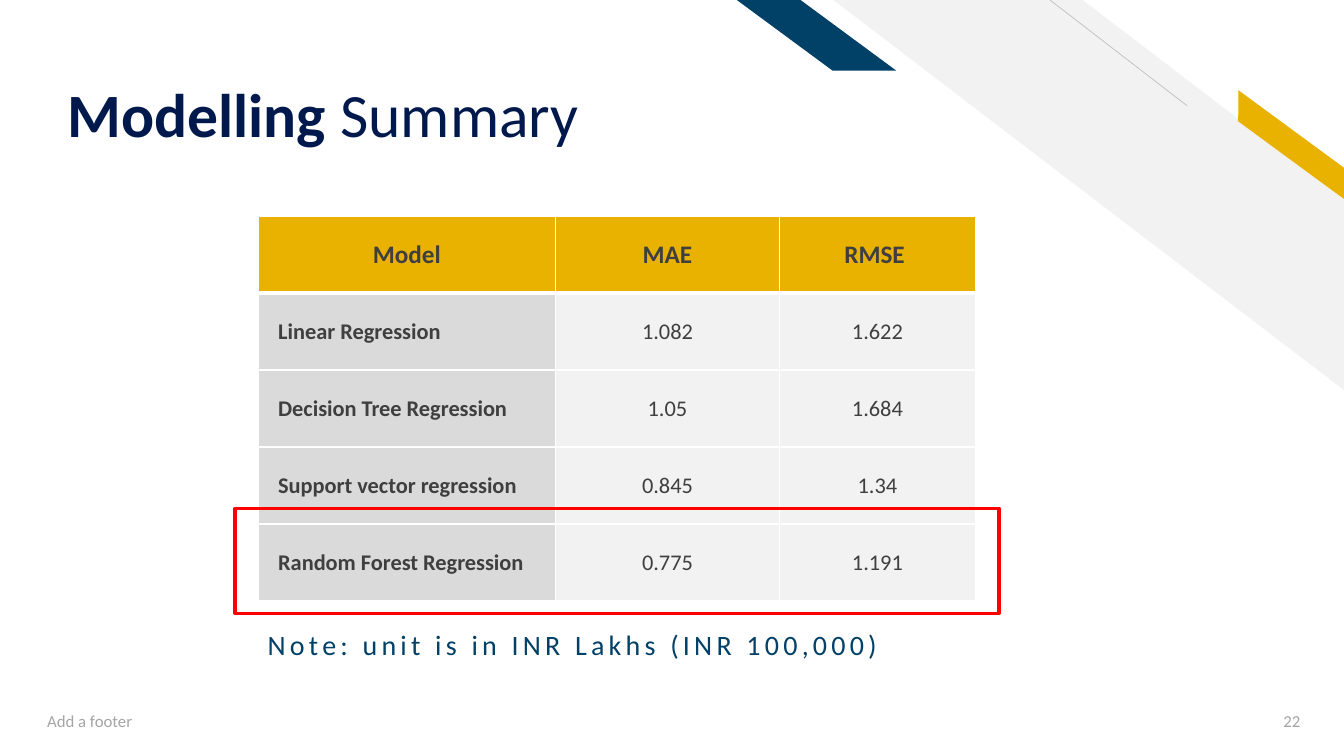
from lxml.etree import SubElement
from pptx import Presentation
from pptx.dml.color import RGBColor
from pptx.enum.shapes import MSO_CONNECTOR, MSO_SHAPE
from pptx.enum.text import MSO_ANCHOR as Anchor, MSO_AUTO_SIZE, PP_ALIGN as Align
from pptx.oxml.ns import qn
from pptx.util import Pt

COLORS = {
    "navy": "00194C", "blue": "014067", "gold": "EAB200", "text": "3F3F3F",
    "label": "DADADA", "pale": "F2F2F2", "line": "BFBFBF", "footer": "A5A5A5",
    "white": "FFFFFF", "red": "FF0000",
}
HEADER = ("Model", "MAE", "RMSE ")
RESULTS = (
    ("Linear Regression", "1.082", "1.622"),
    ("Decision Tree Regression", "1.05", "1.684"),
    ("Support vector regression", "0.845", "1.34"),
    ("Random Forest Regression", "0.775", "1.191"),
)
COLUMN_WIDTHS = (212.5, 160, 140)
ROW_HEIGHT = 55


def color(name):
    return RGBColor.from_string(COLORS[name])


def set_attributes(target, values):
    for name, value in values.items():
        setattr(target, name, value)


def place(shape, left, top, width, height):
    set_attributes(shape, {"left": Pt(left), "top": Pt(top),
                           "width": Pt(width), "height": Pt(height)})


def add_run(paragraph, text, size, color_name, bold=False):
    run = paragraph.add_run()
    run.text = text
    set_attributes(run.font, {"name": "Calibri", "size": Pt(size), "bold": bold})
    run.font.color.rgb = color(color_name)
    return run


def add_title(slide):
    title = slide.shapes.title
    place(title, 41, 16.5, 656, 91)
    set_attributes(title.text_frame, {
        "auto_size": MSO_AUTO_SIZE.NONE, "vertical_anchor": Anchor.BOTTOM,
        "margin_bottom": 0})
    paragraph = title.text_frame.paragraphs[0]
    set_attributes(paragraph, {"alignment": Align.LEFT, "line_spacing": 0.9})
    add_run(paragraph, "Modelling ", 44, "navy", bold=True)
    add_run(paragraph, "Summary", 44, "navy")


def add_note(slide):
    note = slide.placeholders[1]
    place(note, 184, 447, 668, 48)
    note.text_frame.auto_size = MSO_AUTO_SIZE.NONE
    paragraph = note.text_frame.paragraphs[0]
    set_attributes(paragraph, {"line_spacing": 0.9, "space_before": Pt(10)})
    run = add_run(paragraph, "Note: unit is in INR Lakhs (INR 100,000)", 20, "blue")
    run.font._element.set("spc", "300")
    properties = paragraph._p.get_or_add_pPr()
    properties.set("marL", "0")
    properties.set("indent", "0")
    SubElement(properties, qn("a:buNone"))


def add_band(slide, kind, box, adjustment, fill, rotation=0):
    """Add a borderless diagonal band, mirrored left to right."""
    band = slide.shapes.add_shape(kind, *map(Pt, box))
    band.adjustments[0] = adjustment
    band.rotation = rotation
    band.shadow.inherit = False
    band.fill.solid()
    band.fill.fore_color.rgb = color(fill)
    band.line.fill.background()
    band._element.spPr.get_or_add_xfrm().set("flipH", "1")


def add_thin_line(slide, start, end):
    line = slide.shapes.add_connector(MSO_CONNECTOR.STRAIGHT, *map(Pt, start + end))
    line.line.color.rgb = color("line")
    line.line.width = Pt(0.5)
    SubElement(line._element.spPr, qn("a:effectLst"))


def add_borders(cell, top, bottom):
    """Draw white cell borders, one point wide at the sides."""
    properties = cell._tc.get_or_add_tcPr()
    for tag, width in (("lnL", 1), ("lnR", 1), ("lnT", top), ("lnB", bottom)):
        border = SubElement(properties, qn(f"a:{tag}"), w=str(Pt(width)))
        fill = SubElement(border, qn("a:solidFill"))
        SubElement(fill, qn("a:srgbClr"), val=COLORS["white"])


def fill_cell(cell, text, row, column):
    is_header = row == 0
    is_label = column == 0 and not is_header
    add_borders(cell, top=3 if row == 1 else 1, bottom=3 if is_header else 1)
    cell.fill.solid()
    cell.fill.fore_color.rgb = color(
        "gold" if is_header else "label" if is_label else "pale")
    cell.vertical_anchor = Anchor.MIDDLE
    cell.margin_left = Pt(14.4 if is_label else 7.2)
    paragraph = cell.text_frame.paragraphs[0]
    paragraph.alignment = Align.LEFT if is_label else Align.CENTER
    add_run(paragraph, text, 18 if is_header else 16, "text",
            bold=is_header or is_label)


def add_results_table(slide):
    rows = (HEADER,) + RESULTS
    table = slide.shapes.add_table(
        len(rows), len(HEADER), Pt(184.3), Pt(154.3),
        Pt(sum(COLUMN_WIDTHS)), Pt(ROW_HEIGHT * len(rows))).table
    for column, width in zip(table.columns, COLUMN_WIDTHS):
        column.width = Pt(width)
    for row, texts in enumerate(rows):
        for column, text in enumerate(texts):
            fill_cell(table.cell(row, column), text, row, column)


def add_footer_text(slide, text, left, width, alignment):
    box = slide.shapes.add_textbox(Pt(left), Pt(500.5), Pt(width), Pt(29))
    set_attributes(box.text_frame, {"word_wrap": True,
                                    "vertical_anchor": Anchor.MIDDLE})
    paragraph = box.text_frame.paragraphs[0]
    paragraph.alignment = alignment
    add_run(paragraph, text, 12, "footer")


def add_highlight(slide, *box):
    frame = slide.shapes.add_shape(MSO_SHAPE.RECTANGLE, *map(Pt, box))
    frame.shadow.inherit = False
    frame.fill.background()
    frame.line.color.rgb = color("red")
    frame.line.width = Pt(2.25)


def main():
    presentation = Presentation()
    set_attributes(presentation, {"slide_width": Pt(960), "slide_height": Pt(540)})
    slide = presentation.slides.add_slide(presentation.slide_layouts[1])
    add_band(slide, MSO_SHAPE.DIAGONAL_STRIPE, (595.4, 0, 364.6, 278.6), 0.512, "pale")
    add_thin_line(slide, (848, 75.6), (750, 0))
    add_band(slide, MSO_SHAPE.PARALLELOGRAM, (869, 94.3, 106.6, 18), 0.72, "gold", 36.3)
    add_band(slide, MSO_SHAPE.PARALLELOGRAM, (526.3, 0, 113.8, 50.4), 1.356, "blue")
    add_title(slide)
    add_note(slide)
    add_results_table(slide)
    add_footer_text(slide, "Add a footer", 26.6, 324, Align.LEFT)
    add_footer_text(slide, "22", 877.7, 58.3, Align.RIGHT)
    add_highlight(slide, 167.8, 363, 545.8, 75)
    presentation.save("out.pptx")


if __name__ == "__main__":
    main()
